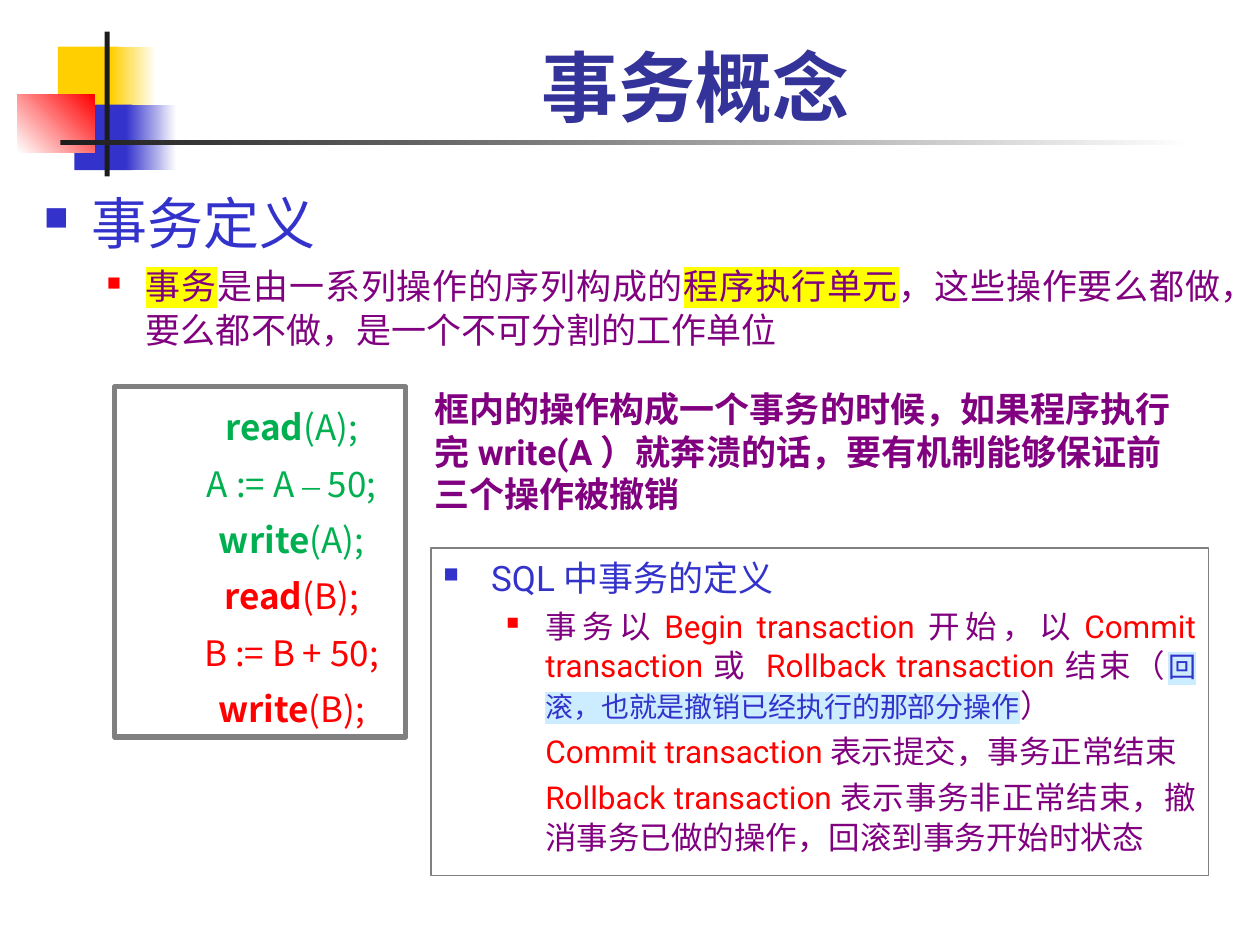
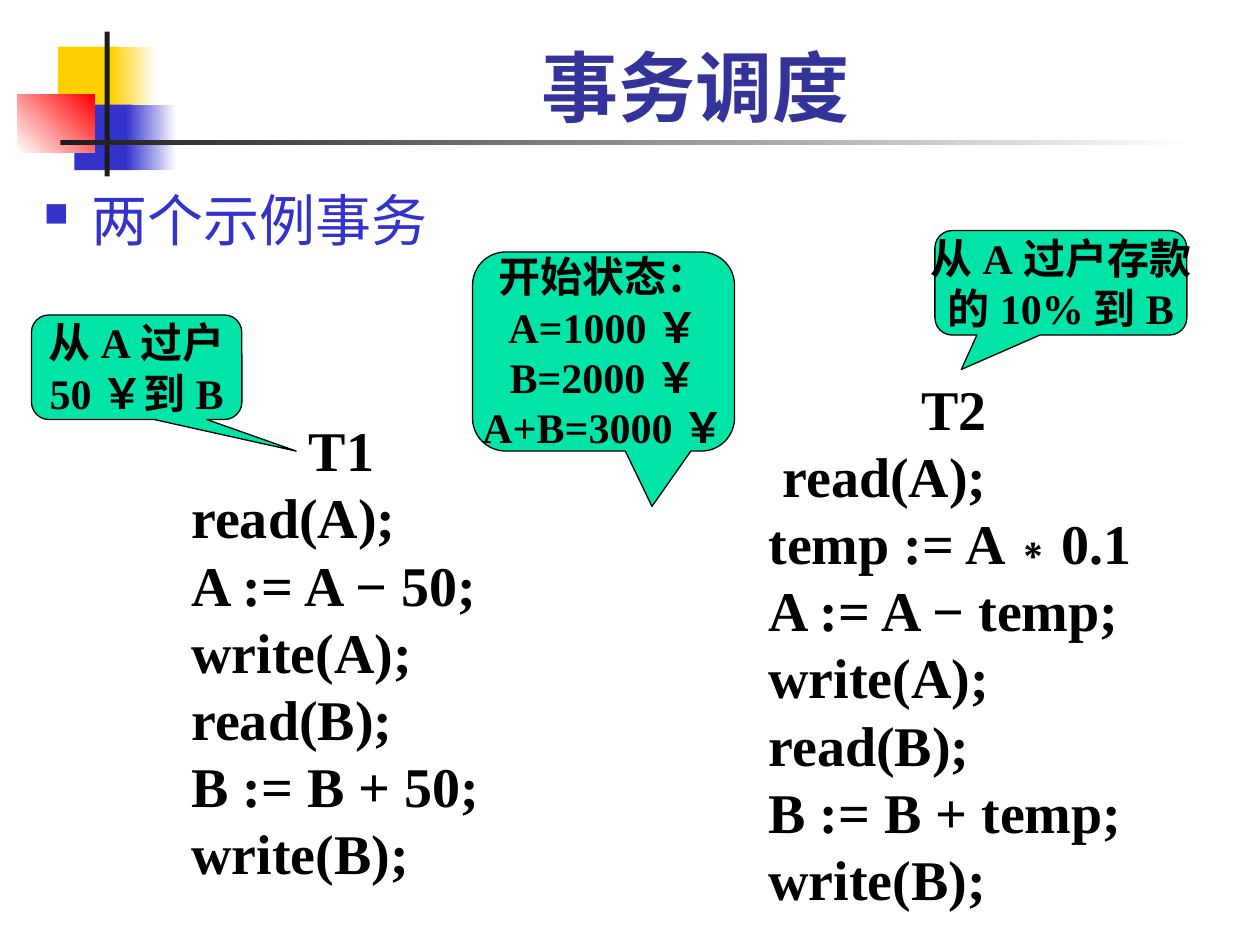
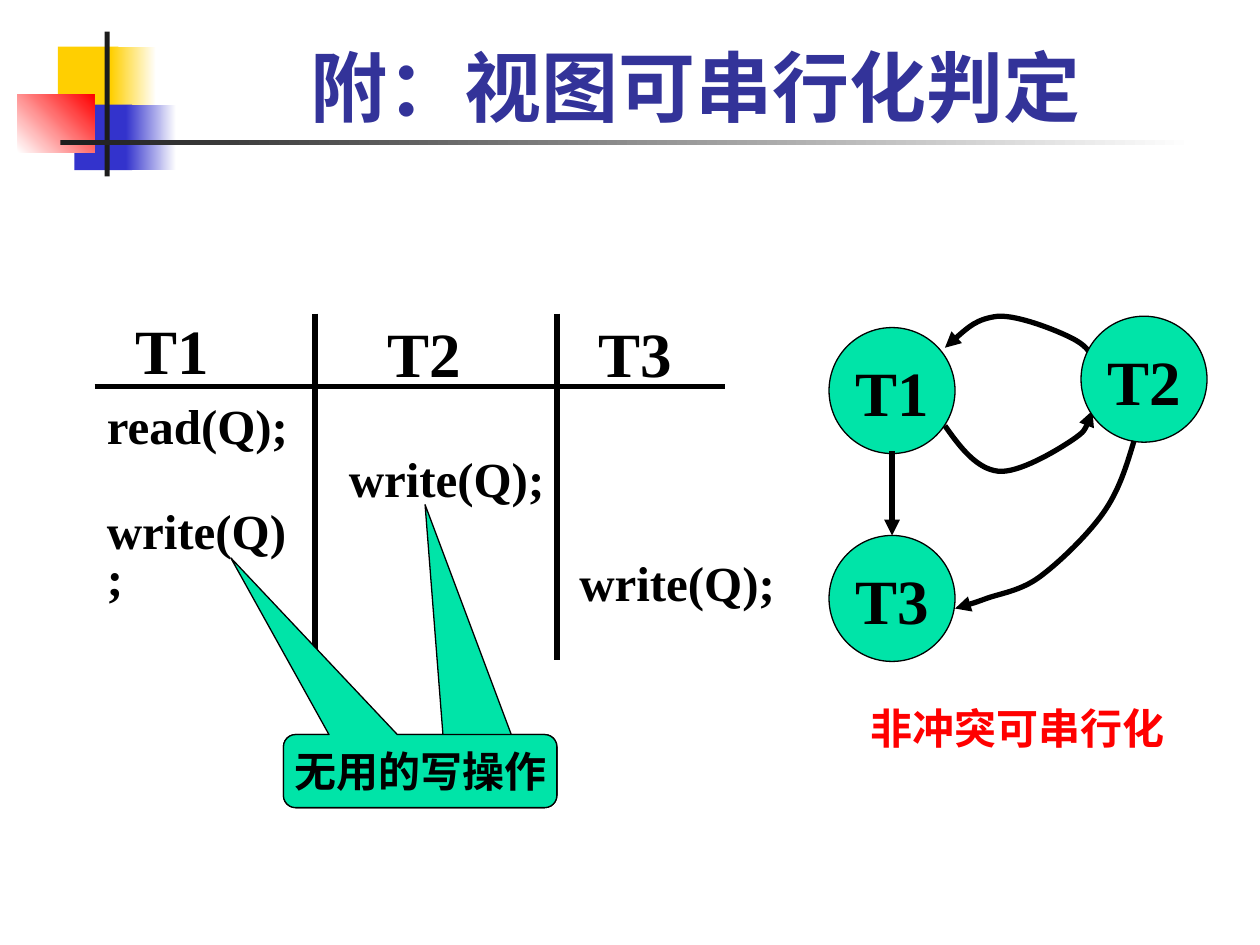
from lxml.etree import SubElement
from pptx import Presentation
from pptx.dml.color import RGBColor
from pptx.enum.shapes import MSO_CONNECTOR, MSO_SHAPE as SHAPE
from pptx.enum.text import MSO_ANCHOR as ANCHOR, PP_ALIGN as ALIGN
from pptx.oxml.ns import qn
from pptx.util import Inches, Pt

BLACK = RGBColor(0x00, 0x00, 0x00)
WHITE = RGBColor(0xFF, 0xFF, 0xFF)
INK = RGBColor(0x1C, 0x1C, 0x1C)
GRAY = RGBColor(0x80, 0x80, 0x80)
NAVY = RGBColor(0x33, 0x33, 0x99)
BLUE = RGBColor(0x33, 0x33, 0xCC)
PURPLE = RGBColor(0x80, 0x00, 0x80)
RED = RGBColor(0xFF, 0x00, 0x00)
GREEN = RGBColor(0x00, 0xB0, 0x50)
MINT = RGBColor(0x00, 0xE4, 0xA8)
GOLD = RGBColor(0xFF, 0xCF, 0x01)
YELLOW = RGBColor(0xFF, 0xFF, 0x00)
PALE_BLUE = RGBColor(0xCC, 0xEC, 0xFF)

SANS, SERIF, CJK = "Roboto", "Times New Roman", "Noto Sans CJK JP"


def add_run(p, text, size, color, font=SANS, bold=False, highlight=None):
    """Add a run; Chinese text stays sans serif beside serif Latin."""
    r = p.add_run()
    r.text = text
    r.font.size, r.font.bold = Pt(size), bold
    r.font.color.rgb = color
    rPr = r._r.get_or_add_rPr()
    if highlight is not None:
        mark = SubElement(rPr, qn("a:highlight"))
        SubElement(mark, qn("a:srgbClr"), val=str(highlight))
    r.font.name = font
    SubElement(rPr, qn("a:ea"), typeface=SANS if font == SERIF else font)


def add_para(tf, runs, align=ALIGN.LEFT, line=None, before=0, indent=None, bullet=None, **style):
    """Add a paragraph; each run is a string or (string, changes to style)."""
    first = tf.paragraphs[0]
    is_first = not first.runs
    p = first if is_first else tf.add_paragraph()
    p.alignment = align
    p.line_spacing = line
    p.space_before = Pt(0 if is_first else before)
    pPr = p._p.get_or_add_pPr()
    if indent:
        left, hang = indent
        pPr.set("marL", str(Inches(left)))
        pPr.set("indent", str(Inches(hang)))
    if bullet:
        color, percent = bullet
        clr = SubElement(pPr, qn("a:buClr"))
        SubElement(clr, qn("a:srgbClr"), val=str(color))
        SubElement(pPr, qn("a:buSzPct"), val=str(percent * 1000))
        SubElement(pPr, qn("a:buChar"), char="■")
    for run in [runs] if isinstance(runs, str) else runs:
        text, changes = (run, {}) if isinstance(run, str) else run
        add_run(p, text, **{**style, **changes})


def add_heading(tf, text, size, line=1.05):
    add_para(tf, text, ALIGN.JUSTIFY, line, indent=(0.38, -0.38), bullet=(BLUE, 60),
             size=size, color=BLUE)


def add_detail(tf, runs, size, bulleted=True):
    add_para(tf, runs, ALIGN.JUSTIFY, 1.05, size * 0.2,
             indent=(0.81, -0.31 if bulleted else 0),
             bullet=(RED, 55) if bulleted else None, size=size, color=PURPLE)


def add_text_box(slide, x, y, w, h, wrap=True):
    tf = slide.shapes.add_textbox(Inches(x), Inches(y), Inches(w), Inches(h)).text_frame
    tf.word_wrap = wrap
    return tf


def add_label(slide, x, y, w, h, text, size, align=ALIGN.LEFT, line=None):
    add_para(add_text_box(slide, x, y, w, h), text, align, line,
             size=size, color=BLACK, font=SERIF, bold=True)


def add_shape(slide, kind, x, y, w, h, fill=None, line=None, width=0.75):
    sp = slide.shapes.add_shape(kind, Inches(x), Inches(y), Inches(w), Inches(h))
    sp.shadow.inherit = False
    if fill is None:
        sp.fill.background()
    else:
        sp.fill.solid()
        sp.fill.fore_color.rgb = fill
    if line is None:
        sp.line.fill.background()
    else:
        sp.line.color.rgb, sp.line.width = line, Pt(width)
    return sp


def add_fade(slide, x, y, w, h, start, end, angle=0):
    sp = add_shape(slide, SHAPE.RECTANGLE, x, y, w, h)
    sp.fill.gradient()
    sp.fill.gradient_angle = angle
    for stop, color, position in zip(sp.fill.gradient_stops, (start, end), (0, 1)):
        stop.color.rgb, stop.position = color, position


def add_frame(slide, x, y, w, h, width):
    tf = add_shape(slide, SHAPE.RECTANGLE, x, y, w, h, line=GRAY, width=width).text_frame
    tf.word_wrap, tf.vertical_anchor = True, ANCHOR.TOP
    return tf


def add_callout(slide, x, y, w, h, tip, lines=(), font=SERIF):
    sp = add_shape(slide, SHAPE.ROUNDED_RECTANGULAR_CALLOUT, x, y, w, h, MINT, BLACK)
    sp.adjustments[0], sp.adjustments[1] = tip
    tf = sp.text_frame
    tf.word_wrap, tf.vertical_anchor = False, ANCHOR.MIDDLE
    for text in lines:
        add_para(tf, text, ALIGN.CENTER, size=24, color=BLACK, font=font, bold=True)


def style_stroke(sp, arrow=None):
    """Give a thick black line, with arrow naming the end that has a head."""
    sp.line.color.rgb, sp.line.width = BLACK, Pt(3)
    if arrow:
        SubElement(sp.line._get_or_add_ln(), qn(f"a:{arrow}"), type="triangle")


def add_line(slide, x1, y1, x2, y2, arrow=None):
    sp = slide.shapes.add_connector(MSO_CONNECTOR.STRAIGHT, Inches(x1), Inches(y1),
                                    Inches(x2), Inches(y2))
    style_stroke(sp, arrow)
    SubElement(sp._element.spPr, qn("a:effectLst"))


def add_curve(slide, points, arrow):
    """Draw cubic curves: a start point, then two controls and an end for each."""
    start, *rest = [(Inches(x), Inches(y)) for x, y in points]
    builder = slide.shapes.build_freeform(*start)
    builder.add_line_segments(rest, close=False)
    sp = builder.convert_to_shape()
    outline = sp._element.find(".//" + qn("a:path"))
    segments = outline.findall(qn("a:lnTo"))
    for i in range(0, len(segments), 3):
        curve = SubElement(outline, qn("a:cubicBezTo"))
        for segment in segments[i:i + 3]:
            curve.append(segment[0])
            outline.remove(segment)
    sp.fill.background()
    style_stroke(sp, arrow)
    sp.shadow.inherit = False


def add_node(slide, x, y, text):
    add_shape(slide, SHAPE.OVAL, x, y, 1, 1, MINT, BLACK)
    add_label(slide, x + 0.09, y + 0.16, 0.83, 0.7, text, 36, ALIGN.CENTER)


def add_slide(prs, title):
    slide = prs.slides.add_slide(prs.slide_layouts[5])
    add_shape(slide, SHAPE.RECTANGLE, 0.46, 0.37, 0.48, 0.52, GOLD)
    add_fade(slide, 0.88, 0.37, 0.36, 0.52, GOLD, WHITE)
    add_shape(slide, SHAPE.RECTANGLE, 0.59, 0.83, 0.46, 0.52, BLUE)
    add_fade(slide, 1, 0.83, 0.4, 0.52, BLUE, WHITE)
    add_fade(slide, 0.14, 0.75, 0.61, 0.46, WHITE, RED, 45)
    add_shape(slide, SHAPE.RECTANGLE, 0.83, 0.25, 0.04, 1.15, INK)
    add_fade(slide, 0.48, 1.11, 9, 0.04, INK, WHITE)

    sp = slide.shapes.title
    sp.left, sp.top, sp.width, sp.height = map(Inches, (1.26, 0.17, 8.52, 0.93))
    sp.text_frame.vertical_anchor = ANCHOR.BOTTOM
    add_para(sp.text_frame, title, ALIGN.CENTER, size=44, color=NAVY, bold=True)
    return slide


def build_concept(prs):
    slide = add_slide(prs, "事务概念")
    marked, red, bold = {"highlight": YELLOW}, {"color": RED}, {"bold": True}

    tf = add_text_box(slide, 0.25, 1.42, 9.54, 5.75)
    add_heading(tf, "事务定义", 32)
    add_detail(tf, [("事务", marked), "是由一系列操作的序列构成的", ("程序执行单元", marked),
                    "，这些操作要么都做，要么都不做，是一个不可分割的工作单位"], 20)

    tf = add_frame(slide, 0.91, 3.07, 2.31, 2.78, 3)
    steps = [
        (GREEN, [("read", bold), "(A);"]),
        (GREEN, ["A := A ", ("–", {"font": SERIF}), " 50;"]),
        (GREEN, [("write", bold), "(A);"]),
        (RED, [("read", bold), "(B);"]),
        (RED, ["B := B + 50;"]),
        (RED, [("write", bold), "(B);"]),
    ]
    for color, runs in steps:
        add_para(tf, runs, ALIGN.CENTER, 1.3, 1, indent=(0.5, 0),
                 size=20, color=color, font=CJK)

    add_para(add_text_box(slide, 3.35, 3.03, 6.06, 1.11),
             "框内的操作构成一个事务的时候，如果程序执行完write(A）就奔溃的话，"
             "要有机制能够保证前三个操作被撤销", size=20, color=PURPLE, bold=True)

    tf = add_frame(slide, 3.42, 4.35, 6.17, 2.6, 0.75)
    add_heading(tf, "SQL中事务的定义", 20)
    add_detail(tf, ["事务以", ("Begin transaction", red), "开始，以",
                    ("Commit transaction", red), "或 ", ("Rollback transaction", red), "结束（",
                    ("回滚，也就是撤销已经执行的那部分操作",
                     {"size": 16, "color": BLUE, "highlight": PALE_BLUE}), "）"], 18)
    add_detail(tf, [("Commit transaction", red), "表示提交，事务正常结束"], 18, bulleted=False)
    add_detail(tf, [("Rollback transaction", red),
                    "表示事务非正常结束，撤消事务已做的操作，回滚到事务开始时状态"], 18, bulleted=False)


def build_schedule(prs):
    slide = add_slide(prs, "事务调度")
    add_heading(add_text_box(slide, 0.25, 1.42, 9.54, 1.78), "两个示例事务", 32, line=None)

    programs = [
        ((1.42, 3.25, 2.58, 3.83), "T1",
         ["read(A);", "A := A − 50;", "write(A);", "read(B);", "B := B + 50;", "write(B);"]),
        ((6, 2.92, 3.14, 4.36), "T2",
         [" read(A);", "temp := A∗0.1", "A := A − temp;", "write(A);", "read(B);",
          "B := B + temp;", "write(B);"]),
    ]
    for place, name, code in programs:
        tf = add_text_box(slide, *place)
        style = dict(size=32, color=BLACK, font=SERIF, bold=True)
        add_para(tf, name, ALIGN.CENTER, **style)
        for text in code:
            add_para(tf, text, **style)

    add_callout(slide, 0.25, 2.5, 1.67, 0.83, (0.758, 0.802), ["从A过户", "50￥到B"])
    add_callout(slide, 7.42, 1.83, 2, 0.83, (-0.395, 0.829), ["从A过户存款", "的10%到B"])
    add_callout(slide, 3.75, 2, 2.08, 1.58, (0.185, 0.778),
                ["开始状态：", "A=1000￥", "B=2000￥", "A+B=3000￥"])


def build_view_test(prs):
    slide = add_slide(prs, "附：视图可串行化判定")

    for x, y, name in [(0.83, 2.42, "T1"), (2.83, 2.45, "T2"), (4.5, 2.45, "T3")]:
        add_label(slide, x, y, 1.08, 0.7, name, 36, ALIGN.CENTER)
    operations = [(0.75, 3.18, 2.17, "read(Q);"), (2.67, 3.6, 2.17, "write(Q);"),
                  (0.75, 4.01, 1.67, "write(Q);"), (4.5, 4.43, 1.83, "write(Q);")]
    for x, y, w, text in operations:
        add_label(slide, x, y, w, 0.47, text, 28, line=0.8)
    add_line(slide, 0.75, 3.07, 5.75, 3.07)
    for x in (2.5, 4.42):
        add_line(slide, x, 2.49, x, 5.24)

    add_node(slide, 6.58, 2.6, "T1")
    add_curve(slide, [(7.5, 2.76), (7.62, 2.65), (7.75, 2.53), (7.92, 2.51),
                      (8.08, 2.5), (8.38, 2.62), (8.5, 2.68),
                      (8.62, 2.74), (8.65, 2.79), (8.67, 2.85)], "headEnd")
    add_curve(slide, [(7.5, 3.38), (7.62, 3.55), (7.75, 3.72), (7.92, 3.74),
                      (8.08, 3.76), (8.38, 3.58), (8.5, 3.5),
                      (8.62, 3.42), (8.65, 3.34), (8.67, 3.26)], "tailEnd")
    add_node(slide, 8.58, 2.51, "T2")
    add_node(slide, 6.58, 4.25, "T3")
    add_line(slide, 7.08, 3.58, 7.08, 4.25, "tailEnd")
    add_curve(slide, [(9, 3.5), (8.94, 3.7), (8.88, 3.9), (8.75, 4.08),
                      (8.62, 4.26), (8.4, 4.47), (8.25, 4.58),
                      (8.1, 4.69), (7.94, 4.71), (7.83, 4.75),
                      (7.72, 4.79), (7.65, 4.81), (7.58, 4.83)], "tailEnd")

    useless_write = (2.25, 5.83, 2.17, 0.58)
    add_callout(slide, *useless_write, (0.018, -3.646))
    add_callout(slide, *useless_write, (-0.693, -2.92), ["无用的写操作"], "Noto Sans CJK SC")
    add_para(add_text_box(slide, 6.81, 5.53, 2.53, 0.5, wrap=False), "非冲突可串行化",
             size=24, color=RED, font=SERIF, bold=True)


def main():
    prs = Presentation()
    prs.slide_width, prs.slide_height = Inches(10), Inches(7.5)
    build_concept(prs)
    build_schedule(prs)
    build_view_test(prs)
    prs.save("out.pptx")


if __name__ == "__main__":
    main()
